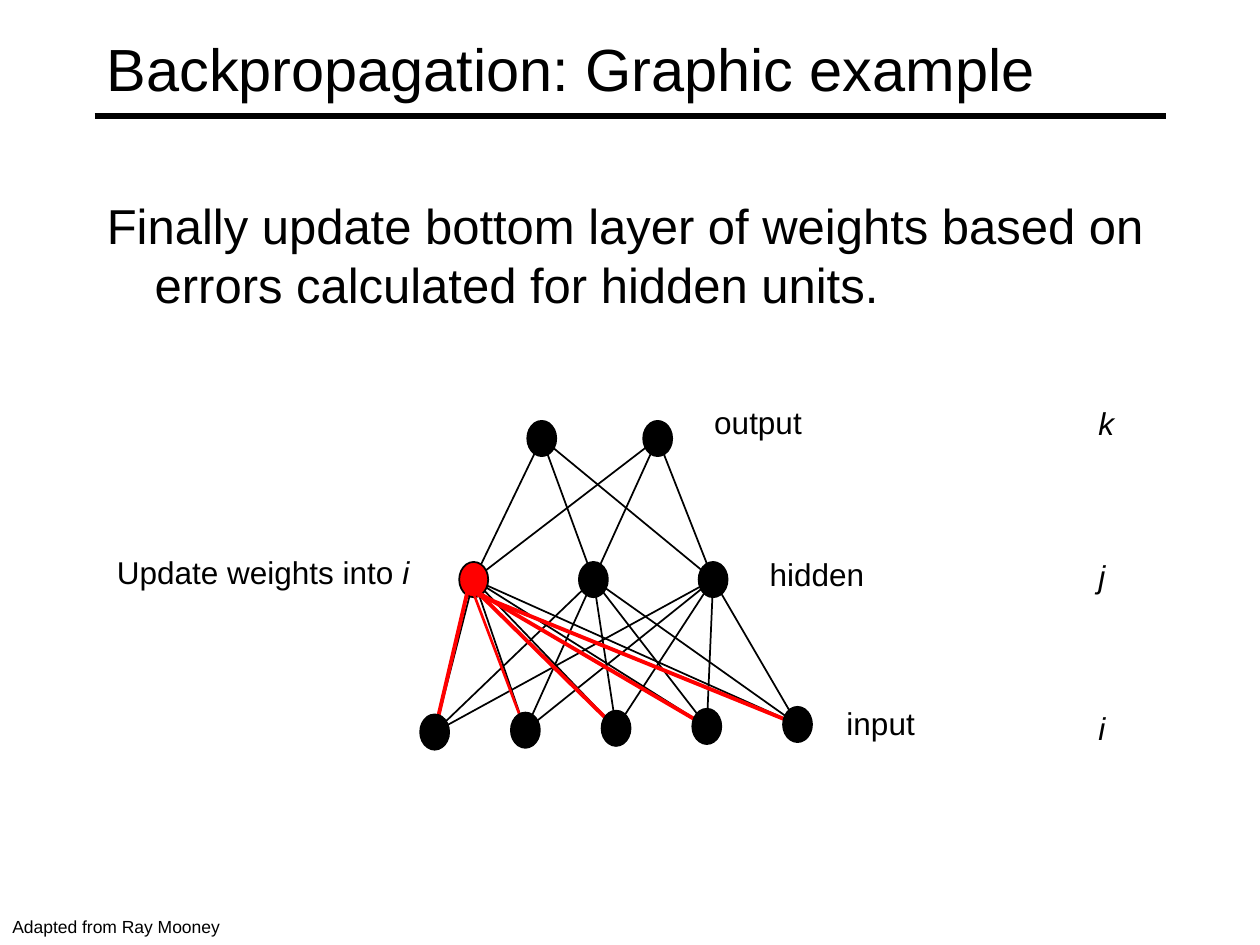
import pptx
import pptx.util
import pptx.dml.color
import pptx.enum.shapes
import pptx.enum.text
import pptx.oxml.ns
import lxml.etree

Inches = pptx.util.Inches
Pt = pptx.util.Pt
BLACK = pptx.dml.color.RGBColor(0, 0, 0)
RED = pptx.dml.color.RGBColor(255, 0, 0)
MIDDLE = pptx.enum.text.MSO_ANCHOR.MIDDLE
TOP = pptx.enum.text.MSO_ANCHOR.TOP

NODE_WIDTH, NODE_HEIGHT = 0.23, 0.28
OUTPUTS = [(0.96 + 0.92 * n, 0.14) for n in range(2)]
HIDDEN = [(0.42 + 0.95 * n, 1.26) for n in range(3)]
INPUTS = [(0.11 + 0.72 * n, 2.47 - 0.015 * n) for n in range(5)]
# Where the updated weights leave the first hidden unit, and their widths
UPDATES = [((0.39, 1.27), 2.25), ((0.40, 1.32), 1.5), ((0.47, 1.38), 2.25),
           ((0.45, 1.36), 2.25), ((0.45, 1.38), 2.25)]


def add_text(page, box, paragraphs, size, wrap=False, anchor=TOP, formats=None):
    """Each paragraph is a list of (text, italic) pairs."""
    frame = page.shapes.add_textbox(*map(Inches, box)).text_frame
    frame.word_wrap = wrap
    frame.vertical_anchor = anchor
    for index, pieces in enumerate(paragraphs):
        para = frame.paragraphs[0] if index == 0 else frame.add_paragraph()
        for text, italic in pieces:
            span = para.add_run()
            span.text = text
            span.font.color.rgb = BLACK
            font = {"name": "Arial", "size": Pt(size), "italic": italic}
            for name, value in font.items():
                setattr(span.font, name, value)
        for name, value in (formats or {}).items():
            setattr(para, name, value)
    return frame


def add_line(page, start, end, color=BLACK, width=1):
    line = page.shapes.add_connector(
        pptx.enum.shapes.MSO_CONNECTOR.STRAIGHT, *map(Inches, (*start, *end)))
    line.line.color.rgb = color
    line.line.width = Pt(width)
    lxml.etree.SubElement(line._element.spPr, pptx.oxml.ns.qn("a:effectLst"))


def add_node(page, center, color=BLACK):
    x, y = center
    node = page.shapes.add_shape(
        pptx.enum.shapes.MSO_SHAPE.OVAL,
        Inches(x - NODE_WIDTH / 2), Inches(y - NODE_HEIGHT / 2),
        Inches(NODE_WIDTH), Inches(NODE_HEIGHT))
    node.shadow.inherit = False
    node.fill.solid()
    node.fill.fore_color.rgb = color
    node.line.color.rgb = BLACK
    node.line.width = Pt(1)


def add_heading(page, box):
    left, top, width, height = box
    add_line(page, (left, top + height - 0.08),
             (left + width, top + height - 0.08), width=3)
    add_text(page, box, [[("Backpropagation: Graphic example", False)]],
             34, wrap=True, anchor=MIDDLE)


def add_statement(page, box):
    text = ("Finally update bottom layer of weights based on "
            "errors calculated for hidden units.")
    frame = add_text(page, box, [[(text, False)]], 28, wrap=True,
                     formats={"space_before": Pt(5.6)})
    properties = frame.paragraphs[0]._p.get_or_add_pPr()
    properties.set("marL", str(Inches(0.38)))
    properties.set("indent", str(Inches(-0.38)))


def add_network(page, left, top):
    outputs, hidden, inputs, starts = (
        [(left + x, top + y) for x, y in points]
        for points in (OUTPUTS, HIDDEN, INPUTS, [start for start, _ in UPDATES]))

    for upper, lower in ((outputs, hidden), (hidden, inputs)):
        for start in upper:
            for end in lower:
                add_line(page, start, end)
    for center in outputs + hidden[1:]:
        add_node(page, center)
    add_node(page, hidden[0], RED)
    for start, end, (_, width) in zip(starts, inputs, UPDATES):
        add_line(page, start, end, RED, width)
    for center in inputs:
        add_node(page, center)


def add_labels(page):
    for text, box in (("output", (5.57, 3.15, 0.91, 0.43)),
                      ("hidden", (6.01, 4.36, 0.95, 0.44)),
                      ("input", (6.62, 5.54, 0.77, 0.43))):
        add_text(page, box, [[(text, False)]], 18)
    add_text(page, (0.83, 4.34, 2.54, 0.41),
             [[("Update weights into ", False), ("i", True)]], 18)
    indices = add_text(page, (8.62, 3.16, 0.33, 2.83),
                       [[(letter, True)] for letter in "kji"], 18)
    for para in indices.paragraphs[1:]:
        para.space_before = Pt(65.5)


def main():
    deck = pptx.Presentation()
    deck.slide_width, deck.slide_height = Inches(10), Inches(7.5)
    page = deck.slides.add_slide(deck.slide_layouts[6])
    add_heading(page, (0.75, 0.08, 8.5, 0.92))
    add_statement(page, (0.75, 1.5, 8.5, 1.22))
    add_network(page, 3.34, 3.34)
    add_labels(page)
    add_text(page, (0, 7.22, 1.87, 0.27), [[("Adapted from Ray Mooney", False)]], 10)
    deck.save("out.pptx")


if __name__ == "__main__":
    main()
